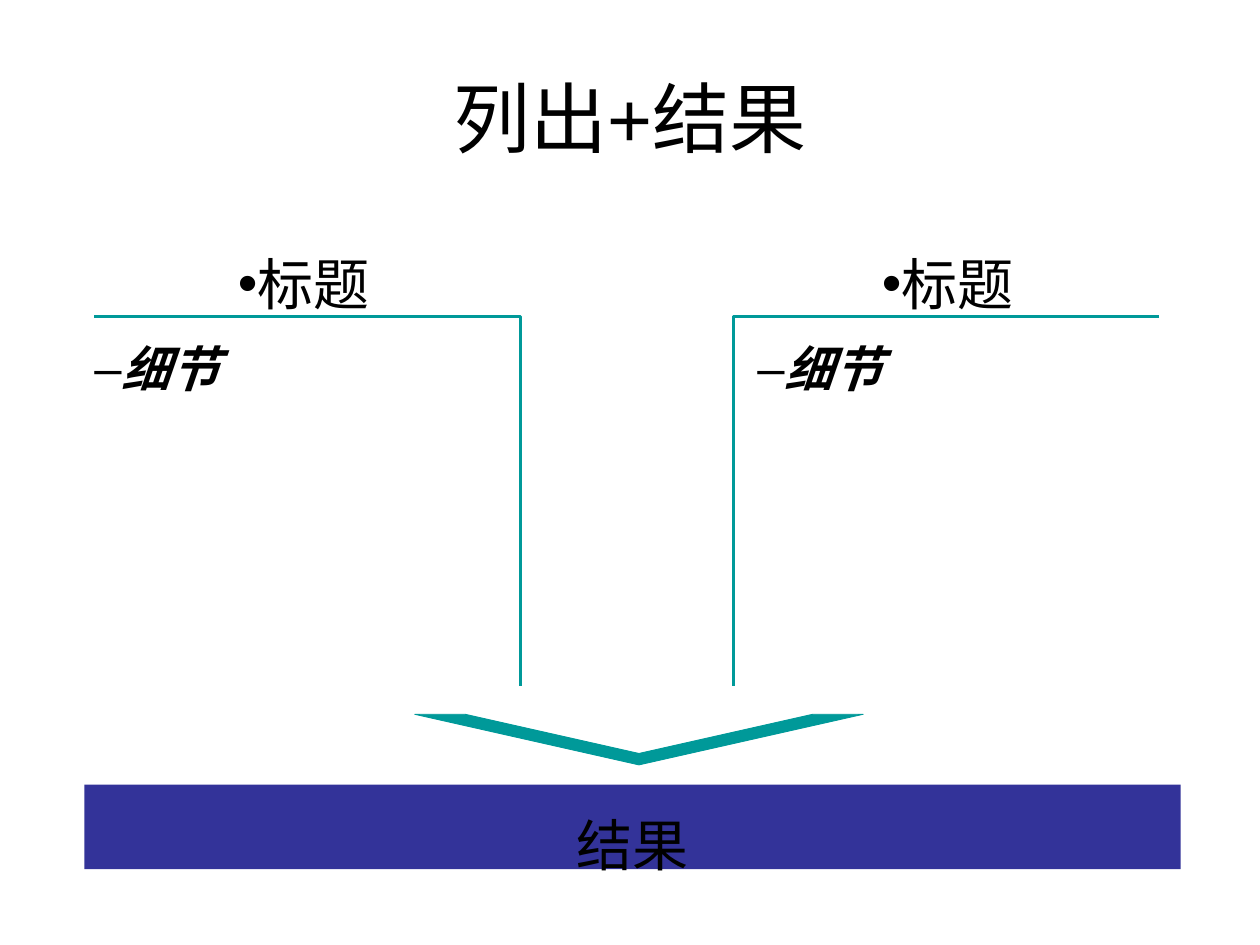
from dataclasses import dataclass

from lxml.etree import SubElement
from pptx import Presentation
from pptx.dml.color import RGBColor
from pptx.enum.shapes import MSO_SHAPE
from pptx.enum.text import MSO_ANCHOR, MSO_AUTO_SIZE, PP_ALIGN
from pptx.oxml.ns import qn
from pptx.util import Cm, Pt


@dataclass(frozen=True)
class Theme:
    text: RGBColor = RGBColor.from_string("000000")
    accent: RGBColor = RGBColor.from_string("009999")
    bar: RGBColor = RGBColor.from_string("333399")
    latin: str = "Arial"
    asian: str = "Noto Sans CJK SC"
    title: int = 44
    heading: int = 32
    detail: int = 28
    frame_line: float = 1.75
    arrow_line: float = 0.5


THEME = Theme()
TIGHT = {f"margin_{side}": 0 for side in ("left", "top", "right", "bottom")}
GROW = {**TIGHT, "word_wrap": True, "auto_size": MSO_AUTO_SIZE.SHAPE_TO_FIT_TEXT}


def apply(obj, values):
    for name, value in values.items():
        setattr(obj, name, value)


def place(sp, left, top, width, height):
    apply(sp, {"left": Cm(left), "top": Cm(top),
               "width": Cm(width), "height": Cm(height)})


def add_bullet(p, char, indent):
    pPr = p._p.get_or_add_pPr()
    pPr.set("marL", str(Cm(indent)))
    pPr.set("indent", str(-Cm(indent)))
    SubElement(pPr, qn("a:buFont"), typeface=THEME.latin)
    SubElement(pPr, qn("a:buChar"), char=char)


def write(sp, text, size, frame, para, font=None, bullet=None):
    tf = sp.text_frame
    apply(tf, frame)
    p = tf.paragraphs[0]
    if bullet:
        add_bullet(p, *bullet)
    apply(p, {"space_before": Pt(0), **para})
    r = p.add_run()
    r.text = text
    style = {"name": THEME.latin, "size": Pt(size), "bold": False, "italic": False}
    apply(r.font, {**style, **(font or {})})
    r.font.color.rgb = THEME.text
    SubElement(r._r.get_or_add_rPr(), qn("a:ea"), typeface=THEME.asian)


def add_title(s, box, text):
    sp = s.shapes.title
    place(sp, *box)
    write(sp, text, THEME.title, {"vertical_anchor": MSO_ANCHOR.MIDDLE},
          {"alignment": PP_ALIGN.CENTER})


def add_column(s, box, holders, texts, heading_x, detail_x, detail_width, mirrored):
    left, top, width, height = box
    heading, detail = holders
    place(heading, left + heading_x, top, 5.95, 0.71)
    write(heading, texts[0], THEME.heading,
          {**GROW, "vertical_anchor": MSO_ANCHOR.MIDDLE},
          {"alignment": PP_ALIGN.CENTER}, bullet=("•", 0))
    place(detail, left + detail_x, top + 1.47, detail_width, 0.71)
    write(detail, texts[1], THEME.detail,
          {**GROW, "vertical_anchor": MSO_ANCHOR.TOP},
          {"level": 1, "alignment": PP_ALIGN.LEFT},
          {"name": THEME.asian, "bold": True, "italic": True}, ("–", 0.46))

    outer, inner = (left + width, left) if mirrored else (left, left + width)
    line_y = top + 1.02
    fb = s.shapes.build_freeform(Cm(outer), Cm(line_y))
    fb.add_line_segments([(Cm(inner), Cm(line_y)), (Cm(inner), Cm(top + height))],
                         close=False)
    sp = fb.convert_to_shape()
    sp.shadow.inherit = False
    sp.fill.background()
    sp.line.color.rgb = THEME.accent
    sp.line.width = Pt(THEME.frame_line)


def add_arrow(s, box):
    left, top, width, height = box
    sp = s.shapes.add_shape(MSO_SHAPE.NOTCHED_RIGHT_ARROW, 0, 0, 0, 0)
    place(sp, left + (width - height) / 2, top + (height - width) / 2, height, width)
    sp.rotation = 90
    sp.adjustments[0], sp.adjustments[1] = 0.775, 1
    sp.shadow.inherit = False
    sp.fill.solid()
    sp.fill.fore_color.rgb = THEME.accent
    sp.line.color.rgb = THEME.accent
    sp.line.width = Pt(THEME.arrow_line)


def add_result(s, box, text):
    sp = s.shapes.add_shape(MSO_SHAPE.RECTANGLE, 0, 0, 0, 0)
    place(sp, *box)
    sp.shadow.inherit = False
    sp.fill.solid()
    sp.fill.fore_color.rgb = THEME.bar
    sp.line.fill.background()
    write(sp, text, THEME.heading, {"vertical_anchor": MSO_ANCHOR.MIDDLE},
          {"alignment": PP_ALIGN.CENTER, "line_spacing": 1.5})


def main():
    prs = Presentation()
    prs.slide_width, prs.slide_height = Cm(25.4), Cm(19.05)
    s = prs.slides.add_slide(prs.slide_layouts.get_by_name("Comparison"))
    holders = [sp for sp in s.placeholders if 1 <= sp.placeholder_format.idx <= 4]
    texts = ("标题", "细节")
    add_column(s, (1.9, 5.36, 8.59, 8.46), holders[:2], texts, 1.25, 0, 8.1, False)
    add_column(s, (14.78, 5.36, 8.59, 8.46), holders[2:], texts, 1.35, 0.49, 7.87, True)
    add_arrow(s, (8.36, 14.4, 9.04, 1.02))
    add_result(s, (1.7, 15.82, 22.1, 1.7), "结果")
    add_title(s, (1.27, 0.76, 22.86, 3.18), "列出+结果")
    prs.save("out.pptx")


if __name__ == "__main__":
    main()
